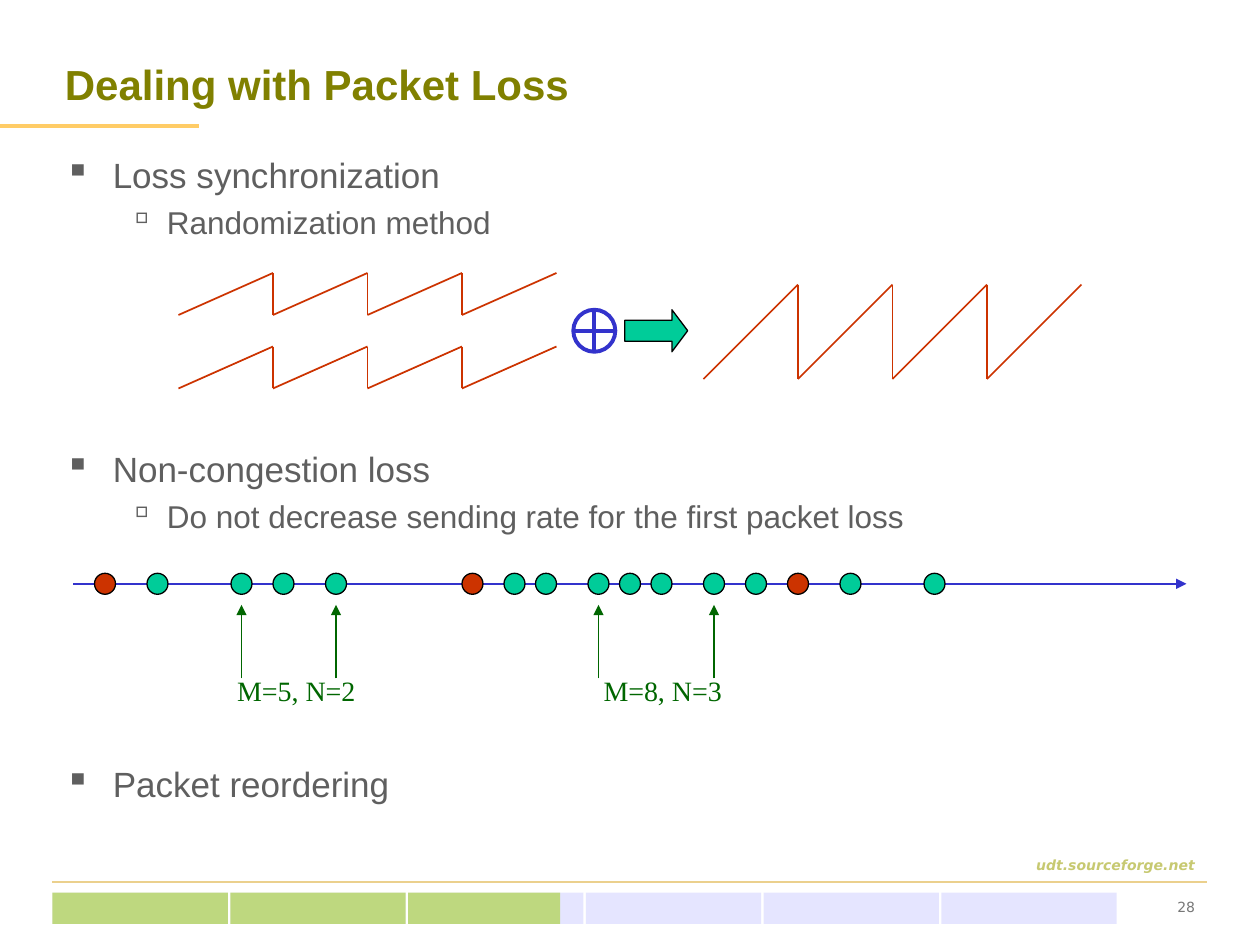
"""Build the slide on dealing with packet loss on a grid of 120 columns by 90 rows."""
from dataclasses import dataclass
from itertools import pairwise
from typing import Any

from lxml.etree import SubElement as Sub
from pptx import Presentation
from pptx.dml.color import RGBColor as Rgb
from pptx.enum.shapes import MSO_CONNECTOR as Link, MSO_SHAPE as Form
from pptx.enum.text import MSO_ANCHOR as Anchor, MSO_AUTO_SIZE as Auto, PP_ALIGN as Align
from pptx.oxml.ns import qn
from pptx.util import Emu, Inches, Pt

WIDE, HIGH = Inches(10), Inches(7.5)
COLS, ROWS = 120, 90
INKS = {
    "olive": "808000", "gray": "5F5F5F", "page": "777777", "site": "C7C971",
    "gold": "FFCC66", "sand": "EBD08D", "pale": "CCCCFF", "lime": "99CC00",
    "red": "CC3300", "blue": "3333CC", "mint": "00CC99", "green": "006600",
    "black": "000000", "white": "FFFFFF",
}
LEFT, SPAN = 5, 110
AXIS = 55.6
LOST = {10, 45, 76}
DOTS = (10, 15, 23, 27, 32, 45, 49, 52, 57, 60, 63, 68, 72, 76, 81, 89)
MARKS = (23, 32, 57, 68)


@dataclass(frozen=True)
class Box:
    col: float
    row: float
    wide: float
    high: float

    def place(self) -> tuple[Emu, Emu, Emu, Emu]:
        return across(self.col), down(self.row), across(self.wide), down(self.high)


@dataclass(frozen=True)
class Level:
    mark: str
    size: float
    left: float
    hang: float
    gap: float


@dataclass(frozen=True)
class Wave:
    col: float
    low: float
    top: float


LEVELS = (Level("▪", 20, 0.38, 0.38, 0), Level("▫", 18, 0.81, 0.31, 4.5))
PAIR = (Wave(17, 30, 26), Wave(17, 37, 33))
SUM = (Wave(67, 36.1, 27.1),)
TOPICS = (
    (Box(LEFT, 14, SPAN, 10), ("Loss synchronization", "Randomization method")),
    (Box(LEFT, 42, SPAN, 11),
     ("Non-congestion loss", "Do not decrease sending rate for the first packet loss")),
    (Box(LEFT, 72, SPAN, 6), ("Packet reordering",)),
)


def across(cols: float) -> Emu:
    return Emu(round(WIDE * cols / COLS))


def down(rows: float) -> Emu:
    return Emu(round(HIGH * rows / ROWS))


def ink(name: str) -> Rgb:
    return Rgb.from_string(INKS[name])


def apply(item: Any, looks: dict[str, Any]) -> None:
    for key, val in looks.items():
        setattr(item, key, val)


def stroke(pad: Any, start: tuple, end: tuple, hue: str, size: float,
           head: bool = False) -> None:
    line = pad.add_connector(Link.STRAIGHT, across(start[0]), down(start[1]),
                             across(end[0]), down(end[1]))
    line.line.color.rgb = ink(hue)
    line.line.width = Pt(size)
    if head:
        Sub(line.line._get_or_add_ln(), qn("a:tailEnd"), type="triangle")
    Sub(line._element.spPr, qn("a:effectLst"))


def figure(pad: Any, form: Form, box: Box, hue: str, edge: str = "",
           size: float = 0.75, alpha: int = 100) -> Any:
    shape = pad.add_shape(form, *box.place())
    shape.shadow.inherit = False
    shape.fill.solid()
    shape.fill.fore_color.rgb = ink(hue)
    if alpha < 100:
        tint = shape._element.spPr.find(".//" + qn("a:srgbClr"))
        Sub(tint, qn("a:alpha"), val=str(alpha * 1000))
    if edge:
        shape.line.color.rgb = ink(edge)
        shape.line.width = Pt(size)
    else:
        shape.line.fill.background()
    return shape


def write(par: Any, text: str, hue: str, **looks: Any) -> None:
    run = par.add_run()
    run.text = text
    run.font.color.rgb = ink(hue)
    apply(run.font, looks)


def frame(pad: Any, box: Box, **looks: Any) -> Any:
    body = pad.add_textbox(*box.place()).text_frame
    apply(body, {"word_wrap": True, **looks})
    return body


def label(pad: Any, box: Box, text: str, hue: str, font: dict[str, Any],
          align: Align = Align.LEFT, **looks: Any) -> None:
    par = frame(pad, box, **looks).paragraphs[0]
    par.alignment = align
    write(par, text, hue, **font)


def topic(pad: Any, box: Box, lines: tuple[str, ...]) -> None:
    body = frame(pad, box)
    for rank, (text, level) in enumerate(zip(lines, LEVELS)):
        par = body.add_paragraph() if rank else body.paragraphs[0]
        prop = par._p.get_or_add_pPr()
        prop.set("marL", str(Inches(level.left)))
        prop.set("indent", str(-Inches(level.hang)))
        Sub(Sub(prop, qn("a:buClr")), qn("a:srgbClr"), val=INKS["gray"])
        Sub(prop, qn("a:buChar"), char=level.mark)
        apply(par, {"level": rank, "space_before": Pt(level.gap)})
        write(par, text, "gray", name="Arial", size=Pt(level.size))


def waves(pad: Any, group: tuple[Wave, ...]) -> None:
    inner = pad.add_group_shape().shapes
    for wave in group:
        spots = [(wave.col + 9 * (step + side), wave.top if side else wave.low)
                 for step in range(4) for side in (0, 1)]
        for start, end in pairwise(spots):
            stroke(inner, start, end, "red", 1)


def footer(pad: Any) -> None:
    stroke(pad, (0, 12), (19, 12), "gold", 2.25)
    stroke(pad, (LEFT, 84), (LEFT + SPAN, 84), "sand", 1)
    label(pad, Box(LEFT, 81, SPAN, 3), "udt.sourceforge.net", "site",
          {"name": "DejaVu Sans", "size": Pt(8), "bold": True, "italic": True}, Align.RIGHT)
    pale = [("pale", slot, 16.7) for slot in range(6)]
    done = [("lime", slot, wide) for slot, wide in enumerate((16.7, 16.7, 14.5))]
    for hue, slot, wide in pale + done:
        figure(pad, Form.RECTANGLE, Box(LEFT + 16.93 * slot, 85, wide, 3), hue, alpha=50)
    label(pad, Box(106.2, 85, 8.8, 3), "28", "page",
          {"name": "DejaVu Sans", "size": Pt(8)}, Align.RIGHT)


def merge(pad: Any) -> None:
    waves(pad, PAIR)
    waves(pad, SUM)
    figure(pad, Form.OVAL, Box(54.6, 29.5, 4, 4), "white", "blue", 2.25)
    stroke(pad, (54.6, 31.5), (58.6, 31.5), "blue", 2.25)
    stroke(pad, (56.6, 29.5), (56.6, 33.5), "blue", 2.25)
    arrow = figure(pad, Form.RIGHT_ARROW, Box(59.5, 29.5, 6, 4), "mint", "black")
    arrow.adjustments[0], arrow.adjustments[1] = 0.5, 0.375


def timeline(pad: Any) -> None:
    inner = pad.add_group_shape().shapes
    stroke(inner, (7, AXIS), (113, AXIS), "blue", 1, True)
    for col in DOTS:
        figure(inner, Form.OVAL, Box(col - 1, AXIS - 1, 2, 2),
               "red" if col in LOST else "mint", "black")
    for col in MARKS:
        stroke(inner, (col, 64.6), (col, 57.6), "green", 0.75, True)
    for col, text in ((21.4, "M=5, N=2"), (56.3, "M=8, N=3")):
        label(inner, Box(col, 63.6, 13.7, 4.4), text, "green",
              {"name": "Times New Roman", "size": Pt(16)},
              word_wrap=False, auto_size=Auto.SHAPE_TO_FIT_TEXT)


def main() -> None:
    deck = Presentation()
    apply(deck, {"slide_width": WIDE, "slide_height": HIGH})
    pad = deck.slides.add_slide(deck.slide_layouts[6]).shapes
    footer(pad)
    label(pad, Box(LEFT, 3, SPAN, 10), "Dealing with Packet Loss", "olive",
          {"name": "Arial", "size": Pt(24), "bold": True}, vertical_anchor=Anchor.MIDDLE)
    for box, lines in TOPICS:
        topic(pad, box, lines)
    merge(pad)
    timeline(pad)
    deck.save("out.pptx")


if __name__ == "__main__":
    main()
